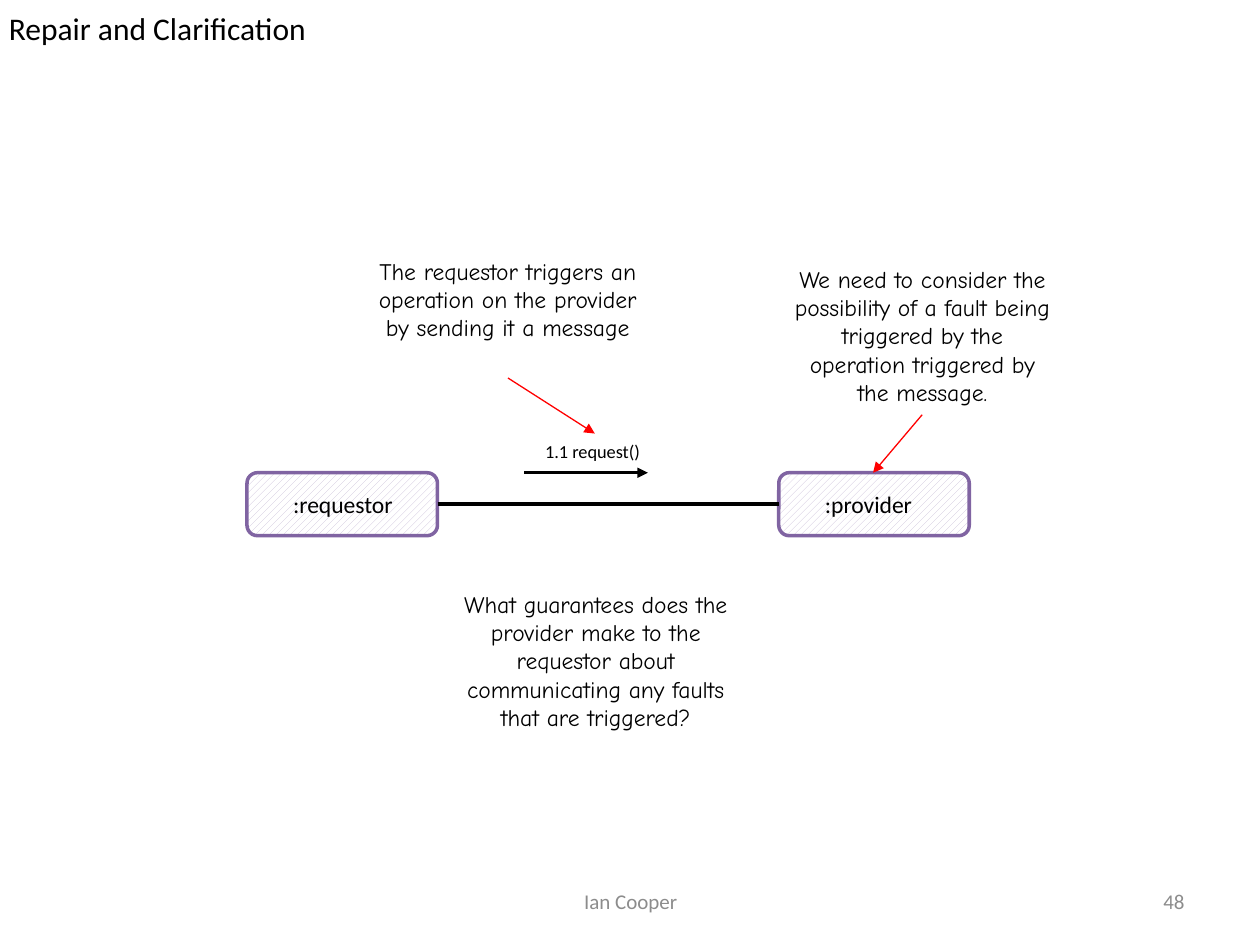
from dataclasses import dataclass

from lxml.etree import SubElement
from pptx import Presentation
from pptx.dml.color import RGBColor
from pptx.enum.dml import MSO_PATTERN
from pptx.enum.shapes import MSO_CONNECTOR, MSO_SHAPE
from pptx.enum.text import MSO_ANCHOR, PP_ALIGN
from pptx.oxml.ns import qn
from pptx.slide import Slide
from pptx.util import Cm, Pt

BLACK = RGBColor(0x00, 0x00, 0x00)
WHITE = RGBColor(0xFF, 0xFF, 0xFF)
GREY = RGBColor(0x8C, 0x8C, 0x8C)
RED = RGBColor(0xFF, 0x00, 0x00)
PURPLE = RGBColor(0x80, 0x64, 0xA2)
LILAC = RGBColor(0xCC, 0xC1, 0xDA)

ROLE_TOP, ROLE_WIDTH, ROLE_HEIGHT = 9.53, 3.84, 1.27
REQUESTOR_LEFT, PROVIDER_LEFT = 4.98, 15.7
LINK_Y = ROLE_TOP + ROLE_HEIGHT / 2


def write(frame, text, *, font="Calibri", size=13.5, color=BLACK,
          align=PP_ALIGN.LEFT, anchor=MSO_ANCHOR.TOP, inset=None):
    frame.word_wrap = True
    frame.vertical_anchor = anchor
    if inset is not None:
        frame.margin_left = frame.margin_right = Cm(inset)
        frame.margin_top = frame.margin_bottom = Cm(inset)
    paragraph = frame.paragraphs[0]
    paragraph.alignment = align
    run = paragraph.add_run()
    run.text = text
    run.font.name = font
    run.font.size = Pt(size)
    run.font.color.rgb = color


@dataclass
class Diagram:
    """Draws the parts of a message diagram on one slide in a shared style."""

    slide: Slide
    note_font: str = "Comic Neue"
    outline: RGBColor = PURPLE
    hatch: RGBColor = LILAC

    def label(self, text, left, top, width, height, **style):
        box = self.slide.shapes.add_textbox(Cm(left), Cm(top), Cm(width), Cm(height))
        write(box.text_frame, text, **style)

    def note(self, text, left, top, width, height):
        self.label(text, left, top, width, height,
                   font=self.note_font, align=PP_ALIGN.CENTER)

    def footer(self, text, left, width, align):
        self.label(text, left, 17.65, width, 1.02, size=12, color=GREY,
                   align=align, anchor=MSO_ANCHOR.MIDDLE)

    def role(self, left):
        role = self.slide.shapes.add_shape(
            MSO_SHAPE.ROUNDED_RECTANGLE, Cm(left), Cm(ROLE_TOP),
            Cm(ROLE_WIDTH), Cm(ROLE_HEIGHT))
        role.shadow.inherit = False
        role.fill.patterned()
        role.fill.pattern = MSO_PATTERN.WIDE_UPWARD_DIAGONAL
        role.fill.fore_color.rgb = self.hatch
        role.fill.back_color.rgb = WHITE
        role.line.color.rgb = self.outline
        role.line.width = Pt(2)

    def line(self, start, end, color=BLACK, weight=1.5, arrow=True):
        connector = self.slide.shapes.add_connector(
            MSO_CONNECTOR.STRAIGHT, *map(Cm, start + end))
        connector.line.color.rgb = color
        connector.line.width = Pt(weight)
        if arrow:
            SubElement(connector.line._get_or_add_ln(), qn("a:tailEnd"), type="triangle")
        SubElement(connector._element.spPr, qn("a:effectLst"))

    def pointer(self, start, end):
        self.line(start, end, color=RED, weight=0.75)


def main():
    deck = Presentation()
    deck.slide_width, deck.slide_height = Cm(25.4), Cm(19.05)
    diagram = Diagram(deck.slides.add_slide(deck.slide_layouts[6]))

    diagram.label("Repair and Clarification", 0, 0, 25.4, 1.14, size=18, inset=0.18)
    diagram.footer("Ian Cooper", 8.69, 8.05, PP_ALIGN.CENTER)
    diagram.footer("48", 18.21, 5.92, PP_ALIGN.RIGHT)

    for left in (REQUESTOR_LEFT, PROVIDER_LEFT):
        diagram.role(left)
    diagram.line((REQUESTOR_LEFT + ROLE_WIDTH, LINK_Y), (PROVIDER_LEFT, LINK_Y),
                 weight=2.5, arrow=False)
    diagram.line((10.57, ROLE_TOP), (13.06, ROLE_TOP))
    diagram.label("1.1 request()", 10.74, 8.74, 2.49, 0.71, size=10.5)
    for name, left, width in ((":requestor", REQUESTOR_LEFT, 2.67),
                              (":provider", PROVIDER_LEFT, 2.44)):
        diagram.label(name, left + 0.68, 9.75, width, 0.84)

    diagram.note("We need to consider the possibility of a fault being triggered "
                 "by the operation triggered by the message.",
                 PROVIDER_LEFT, 5.21, 5.79, 3.15)
    diagram.pointer((18.59, 8.36), (17.6, ROLE_TOP))
    diagram.note("What guarantees does the provider make to the requestor about "
                 "communicating any faults that are triggered?",
                 8.86, 11.76, 6.3, 3.15)
    diagram.note("The requestor triggers an operation on the provider by sending "
                 "it a message", 7.34, 5.05, 5.79, 2.57)
    diagram.pointer((10.24, 7.62), (11.99, 8.74))

    deck.save("out.pptx")


if __name__ == "__main__":
    main()
